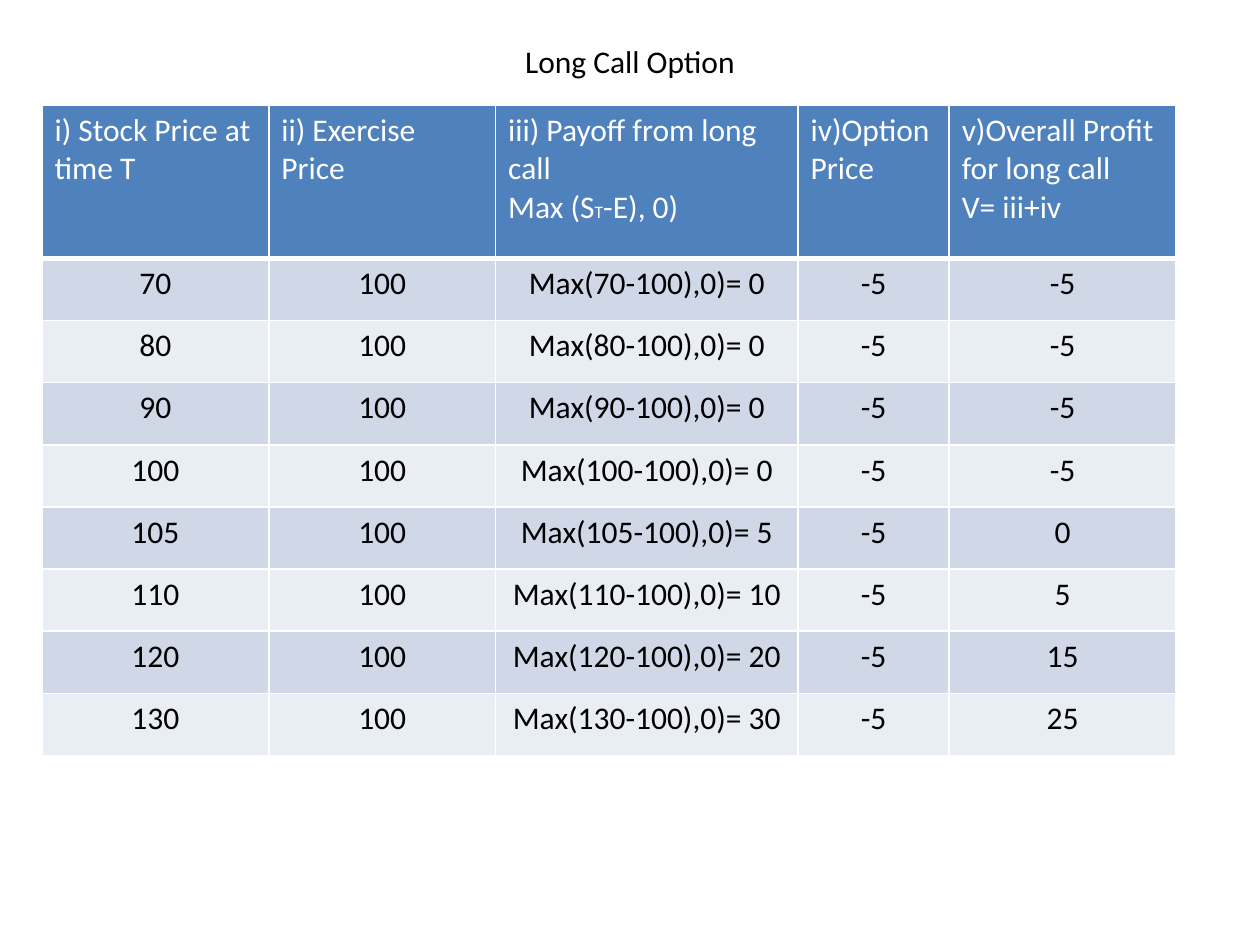
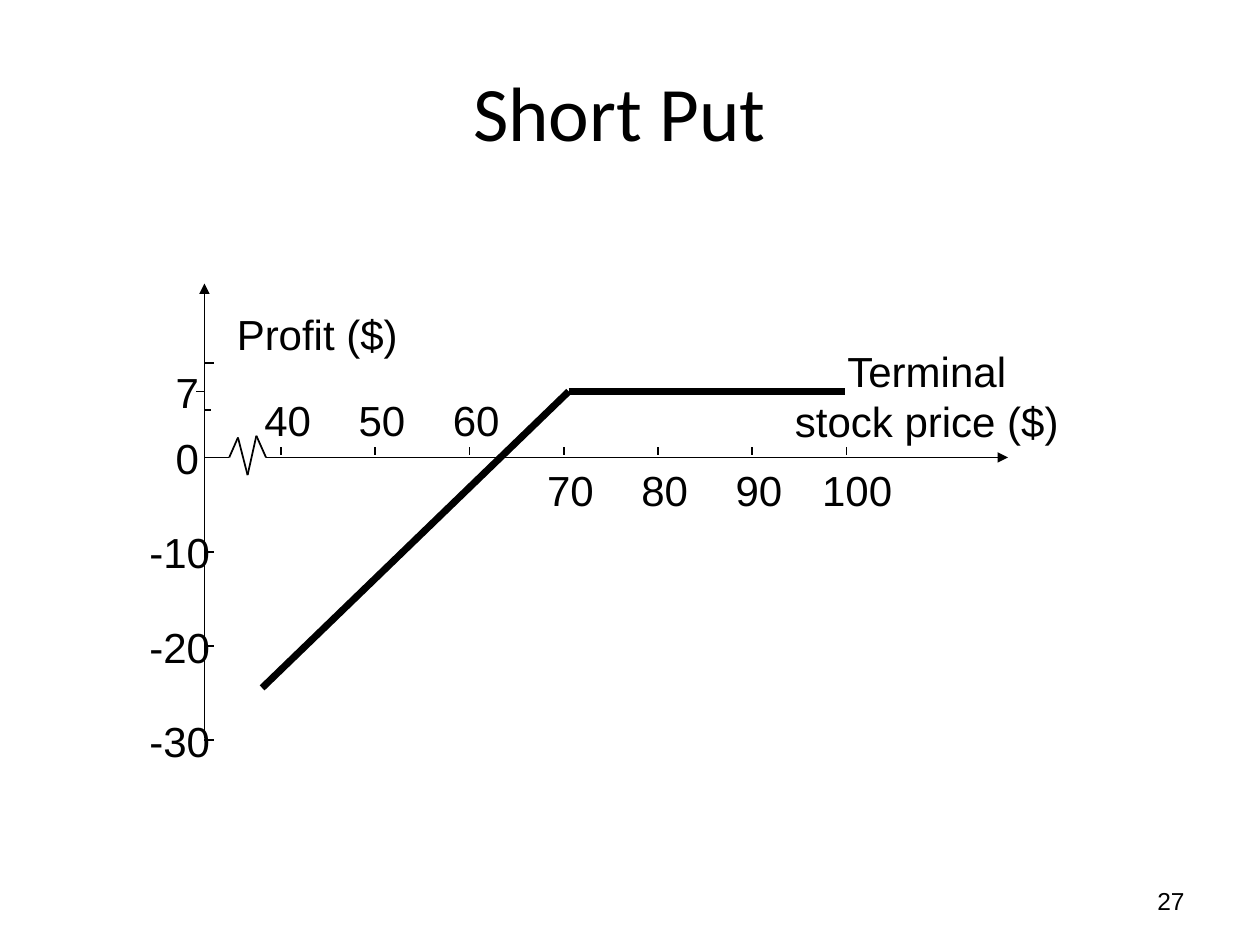
import lxml.etree
import pptx
import pptx.dml.color
import pptx.enum.shapes
import pptx.enum.text
import pptx.oxml.ns
import pptx.util

Pt = pptx.util.Pt
ALIGN = pptx.enum.text.PP_ALIGN
ANCHOR = pptx.enum.text.MSO_ANCHOR
qn = pptx.oxml.ns.qn

COLORS = {
    "text": "000000",
    "white": "FFFFFF",
    "header": "4F81BD",
    "band_dark": "D0D8E8",
    "band_light": "E9EDF4",
}


def rgb(name):
    return pptx.dml.color.RGBColor.from_string(COLORS[name])


def write(tf, text, size=18, font="Calibri", color="text", align=ALIGN.LEFT,
          small=10):
    """Fill a text frame; newlines split paragraphs, ~ encloses small text."""
    for i, line in enumerate(text.split("\n")):
        p = tf.paragraphs[0] if i == 0 else tf.add_paragraph()
        p.alignment = align
        for j, part in enumerate(line.split("~")):
            r = p.add_run()
            r.text = part
            r.font.name = font
            r.font.size = Pt(small if j % 2 else size)
            r.font.bold = False
            r.font.color.rgb = rgb(color)


class Deck:
    def __init__(self):
        self.prs = pptx.Presentation()
        self.prs.slide_width, self.prs.slide_height = Pt(720), Pt(540)
        self.s = None

    def slide(self, title, box, size):
        self.s = self.prs.slides.add_slide(self.prs.slide_layouts[5])
        sp = self.s.shapes.title
        sp.left, sp.top, sp.width, sp.height = map(Pt, box)
        tf = sp.text_frame
        tf.auto_size = pptx.enum.text.MSO_AUTO_SIZE.NONE
        tf.vertical_anchor = ANCHOR.MIDDLE
        write(tf, title, size=size, align=ALIGN.CENTER)

    def label(self, text, left, top, width, height=36, size=24, wrap=False,
              anchor=ANCHOR.TOP, align=ALIGN.LEFT):
        sp = self.s.shapes.add_textbox(Pt(left), Pt(top), Pt(width), Pt(height))
        tf = sp.text_frame
        tf.word_wrap = wrap
        tf.vertical_anchor = anchor
        write(tf, text, size=size, font="Arial", align=align)

    def line(self, start, end, width=1, arrow=False):
        sp = self.s.shapes.add_connector(
            pptx.enum.shapes.MSO_CONNECTOR.STRAIGHT,
            *map(Pt, start), *map(Pt, end))
        sp.line.color.rgb = rgb("text")
        sp.line.width = Pt(width)
        props = sp._element.spPr
        if arrow:
            ln = props.find(qn("a:ln"))
            lxml.etree.SubElement(ln, qn("a:tailEnd"), type="triangle")
        lxml.etree.SubElement(props, qn("a:effectLst"))

    def cell(self, cell, text, fill, color, align, bottom=1):
        tc = cell._tc.get_or_add_tcPr()
        for side, width in zip("LRTB", (1, 1, 1, bottom)):
            ln = lxml.etree.SubElement(tc, qn("a:ln" + side), w=str(Pt(width)))
            solid = lxml.etree.SubElement(ln, qn("a:solidFill"))
            lxml.etree.SubElement(solid, qn("a:srgbClr"), val=COLORS["white"])
        cell.fill.solid()
        cell.fill.fore_color.rgb = rgb(fill)
        write(cell.text_frame, text, color=color, align=align)

    def table(self, left, top, widths, heights, header, rows):
        tb = self.s.shapes.add_table(
            len(heights), len(widths), Pt(left), Pt(top),
            Pt(sum(widths)), Pt(sum(heights))).table
        for col, width in zip(tb.columns, widths):
            col.width = Pt(width)
        for row, height in zip(tb.rows, heights):
            row.height = Pt(height)
        for i, text in enumerate(header):
            self.cell(tb.cell(0, i), text, "header", "white", ALIGN.LEFT, 3)
        for j, row in enumerate(rows, 1):
            fill = "band_dark" if j % 2 else "band_light"
            for i, text in enumerate(row):
                self.cell(tb.cell(j, i), str(text), fill, "text", ALIGN.CENTER)


def long_call(deck):
    deck.slide("Long Call Option", (36, 21.6, 648, 26.64), 18)
    header = ["i) Stock Price at time T", "ii) Exercise Price",
              "iii) Payoff from long call\nMax (S~T~-E), 0)",
              "iv)Option Price", "v)Overall Profit for long call\nV= iii+iv"]
    exercise, premium = 100, -5
    rows = []
    for stock in (70, 80, 90, 100, 105, 110, 120, 130):
        payoff = max(stock - exercise, 0)
        rows.append((stock, exercise, f"Max({stock}-{exercise}),0)= {payoff}",
                     premium, payoff + premium))
    deck.table(24, 60, [129.6, 129.6, 172.8, 86.4, 129.6],
               [87.6] + [35.52] * len(rows), header, rows)


def short_put(deck):
    deck.slide("Short Put", (60, 30, 588, 66), 44)
    deck.label("27", 516, 500.4, 168, 28.8, size=14, wrap=True,
               anchor=ANCHOR.MIDDLE, align=ALIGN.RIGHT)

    # Scales: ten dollars take the same length on both axes
    axis_x, axis_y, step = 116.8, 261.4, 53.85

    def price_x(price):
        return 160.6 + (price - 40) / 10 * step

    def profit_y(profit):
        return axis_y - profit / 10 * step

    # Axes, with a break before the first price
    deck.line((axis_x, 422), (axis_x, 162), arrow=True)
    axis_break = [(axis_x, axis_y), (131, axis_y), (136, 250), (141.5, 271.5),
                  (146.5, 249), (152, axis_y)]
    for start, end in zip(axis_break, axis_break[1:]):
        deck.line(start, end)
    deck.line(axis_break[-1], (576, axis_y), arrow=True)

    # Ticks
    for price in range(40, 101, 10):
        deck.line((price_x(price), 255.6), (price_x(price), 260))
    for profit, length in ((10, 5.6), (7, -4.5), (5, 3.6),
                           (-10, 5.6), (-20, 5.6), (-30, 5.6)):
        y = profit_y(profit)
        deck.line((axis_x, y), (axis_x + length, y))

    # Axis labels
    for price in range(40, 101, 10):
        shift, width = (21, 54.7) if price == 100 else (16.6, 41)
        top = 221.8 if price < 70 else 262
        deck.label(str(price), price_x(price) - shift, top, width)
    for profit in (7, 0, -10, -20, -30):
        left, width = (78.3, 49) if profit < 0 else (93.2, 27.4)
        deck.label(str(profit), left, profit_y(profit) - 17.7, width)
    deck.label("Profit ($)", 128.2, 172.8, 106.6)
    deck.label("Terminal\nstock price ($)", 447.1, 193.7, 164.9, 64.8,
               align=ALIGN.CENTER)

    # Profit line
    kink = (325, profit_y(7))
    deck.line(kink, (483.1, kink[1]), width=4)
    deck.line(kink, (149.8, 393.1), width=4)


def main():
    deck = Deck()
    long_call(deck)
    short_put(deck)
    deck.prs.save("out.pptx")


if __name__ == "__main__":
    main()
